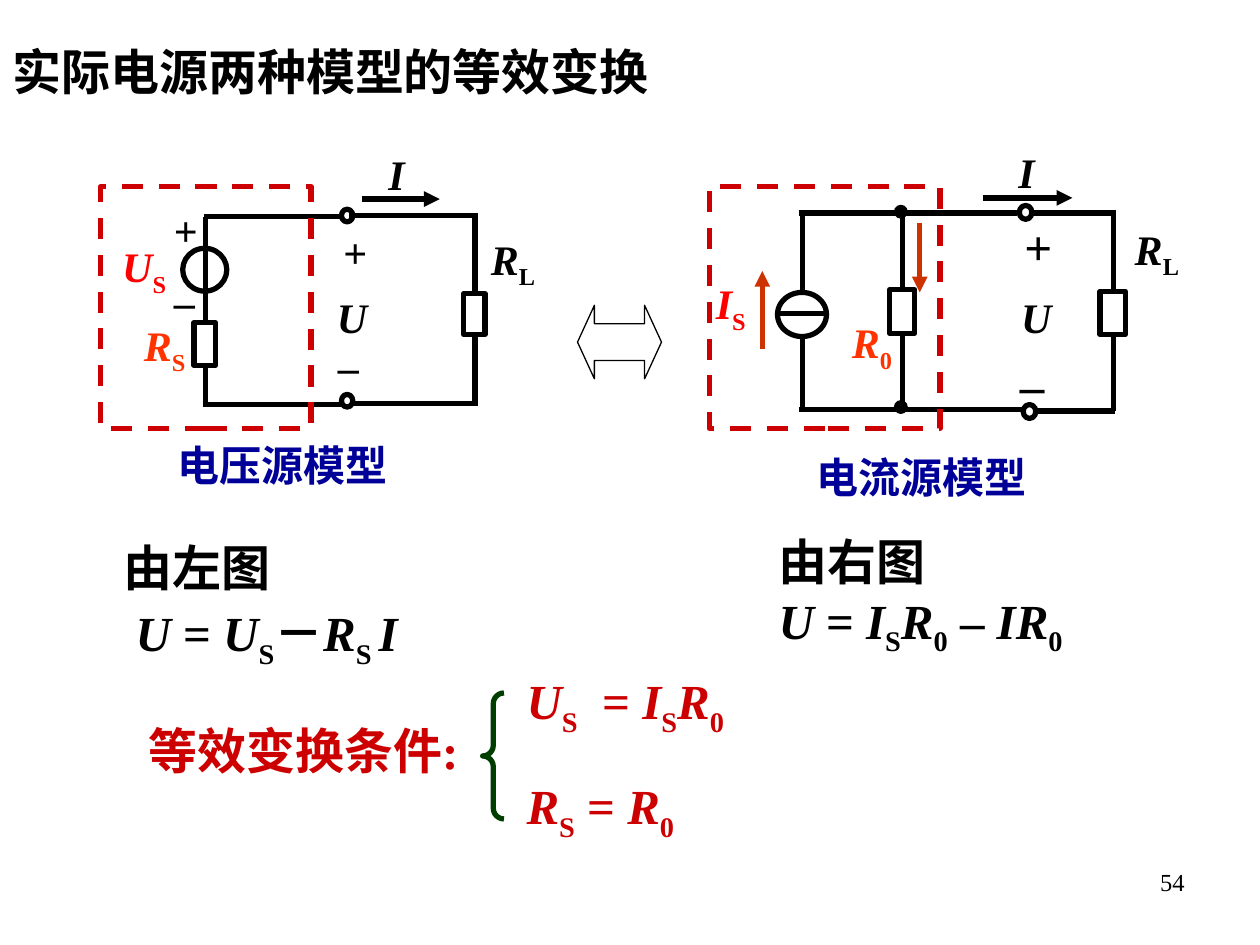
import pptx
import pptx.dml.color
import pptx.enum.dml
import pptx.enum.shapes
import pptx.enum.text
import pptx.oxml.ns
import pptx.util
from dataclasses import dataclass
from lxml import etree

Pt = pptx.util.Pt
SHAPE = pptx.enum.shapes.MSO_SHAPE
ALIGN = pptx.enum.text.PP_ALIGN
ANCHOR = pptx.enum.text.MSO_ANCHOR
qn = pptx.oxml.ns.qn


@dataclass(frozen=True)
class Theme:
    font: str = "Times New Roman"
    ink: str = "000000"
    source: str = "FF0000"
    resistor: str = "FF3300"
    current: str = "CC3300"
    accent: str = "CC0000"
    caption: str = "000099"
    brace: str = "003E00"
    heading: int = 28
    label: int = 24
    number: int = 14
    stroke: float = 3
    thin: float = 0.75


THEME = Theme()


def rgb(color):
    return pptx.dml.color.RGBColor.from_string(color)


def symbol(name, sub=""):
    """Spans of an italic quantity with an upright subscript."""
    return [(name, "italic")] + ([(sub, "sub")] if sub else [])


def plain(text):
    return [(text, "")]


def write_text(box, paras, *, size=THEME.label, color=THEME.ink, bold=True,
               align=ALIGN.CENTER, anchor=ANCHOR.TOP, wrap=True, spacing=None, gap=0):
    frame = box.text_frame
    frame.word_wrap = wrap
    frame.auto_size = pptx.enum.text.MSO_AUTO_SIZE.NONE
    frame.vertical_anchor = anchor
    for index, spans in enumerate(paras):
        para = frame.add_paragraph() if index else frame.paragraphs[0]
        para.alignment = align
        if spacing:
            para.line_spacing = spacing
        if index and gap:
            para.space_before = Pt(gap)
        for text, style in spans:
            span = para.add_run()
            span.text = text
            span.font.name = THEME.font
            span.font.size = Pt(size)
            span.font.bold = bold
            span.font.italic = style == "italic"
            span.font.color.rgb = rgb(color)
            properties = span._r.get_or_add_rPr()
            if style == "sub":
                properties.set("baseline", "-25000")
            elif style == "wide":
                properties.set("spc", "700")


class Region:
    """Draws on a page with lengths in points from the region's corner."""

    def __init__(self, page, left, top):
        self.shapes, self.left, self.top = page.shapes, left, top

    def place(self, x, y):
        return Pt(self.left + x), Pt(self.top + y)

    def text(self, x, y, width, height, *paras, **style):
        box = self.shapes.add_textbox(*self.place(x, y), Pt(width), Pt(height))
        write_text(box, paras, **style)

    def label(self, x, y, width, spans, color=THEME.ink):
        self.text(x, y, width, 36, spans, color=color, anchor=ANCHOR.MIDDLE, wrap=False)

    def outline(self, kind, x, y, width, height, color=THEME.ink,
                stroke=THEME.stroke, filled=False, dashed=False):
        shape = self.shapes.add_shape(kind, *self.place(x, y), Pt(width), Pt(height))
        shape.shadow.inherit = False
        if filled:
            shape.fill.solid()
            shape.fill.fore_color.rgb = rgb(color)
        else:
            shape.fill.background()
        shape.line.color.rgb = rgb(color)
        shape.line.width = Pt(stroke)
        if dashed:
            shape.line.dash_style = pptx.enum.dml.MSO_LINE.DASH
        return shape

    def wire(self, x1, y1, x2, y2, color=THEME.ink, arrow=False):
        line = self.shapes.add_connector(pptx.enum.shapes.MSO_CONNECTOR.STRAIGHT,
                                         *self.place(x1, y1), *self.place(x2, y2))
        line.line.color.rgb = rgb(color)
        line.line.width = Pt(THEME.stroke)
        properties = line._element.spPr
        etree.SubElement(properties, qn("a:effectLst"))
        if arrow:
            etree.SubElement(properties.find(qn("a:ln")), qn("a:tailEnd"), type="triangle")

    def resistor(self, x, top, bottom, left, y, width, height):
        """Resistor box with the leads above and below it."""
        self.outline(SHAPE.RECTANGLE, left, y, width, height)
        self.wire(x, y, x, top)
        self.wire(x, y + height, x, bottom)


def draw_voltage_circuit(page, left, top):
    area = Region(page, left, top)
    # Load and source branches
    area.resistor(213.8, 16.6, 125.3, 207.4, 61.2, 12.2, 23.4)
    area.resistor(59.8, 17.3, 126, 53.3, 77.8, 12.2, 24.5)
    area.outline(SHAPE.OVAL, 46.8, 35.3, 25.2, 24.5)
    # Rails and terminals
    for y, right_y, start, terminal in ((17.3, 16.6, 141.8, 13), (124.6, 123.8, 143.3, 118.8)):
        area.wire(59, y, 137.5, y)
        area.wire(start, right_y, 215.3, right_y)
        area.outline(SHAPE.OVAL, 137.5, terminal, 6.5, 7.2)
    area.wire(149, 7.2, 193.7, 7.2, arrow=True)
    # Labels
    area.label(157, -25.2, 24, symbol("I"))
    area.label(214.6, 25.2, 42, symbol("R", "L"))
    area.label(16.6, 74.2, 39.6, symbol("R", "S"), THEME.resistor)
    area.label(4.3, 29.5, 41, symbol("U", "S"), THEME.source)
    area.label(127.4, 56.2, 32.4, symbol("U"))
    area.text(34.6, 5, 25.2, 80, plain("+"), plain("–"), anchor=ANCHOR.MIDDLE, gap=12)
    area.text(122.4, 19.4, 46, 36, plain("+"))
    area.text(126, 84.2, 31, 36, plain("–"))
    area.label(36, 141.1, 135.4, plain("电压源模型"), THEME.caption)
    area.outline(SHAPE.RECTANGLE, 0, 0, 120.2, 138.2, THEME.accent, dashed=True)


def draw_current_circuit(page, left, top):
    area = Region(page, left, top)
    # Current source
    area.outline(SHAPE.OVAL, 38.9, 60.5, 28, 25.2)
    area.wire(38.9, 72.7, 67, 72.7)
    area.wire(53.3, 16.6, 53.3, 60.5)
    area.wire(53.3, 85.7, 53.3, 128.9)
    # Load and inner resistor
    area.resistor(231.1, 15.8, 128.2, 223.2, 59.8, 14.4, 24.8)
    area.resistor(110.2, 15.1, 127.4, 103, 59, 14.4, 24.8)
    # Rails, terminals and nodes
    area.wire(51.1, 15.1, 175.7, 15.1)
    area.wire(184.3, 15.1, 232.6, 15.1)
    area.wire(51.1, 127.4, 179.3, 127.4)
    area.wire(186.5, 128.2, 231.8, 128.2)
    for x, y, node in ((177.1, 10.8, 10.8), (179.3, 124.6, 122.4)):
        area.outline(SHAPE.OVAL, x, y, 7.2, 7.9)
        area.outline(SHAPE.OVAL, 105.8, node, 7.2, 7.2, stroke=THEME.thin, filled=True)
    # Current arrows
    area.wire(156.2, 6.5, 207.4, 6.5, arrow=True)
    area.wire(120.2, 20.9, 120.2, 60.5, THEME.current, arrow=True)
    area.wire(30.2, 92.9, 30.2, 48.2, THEME.current, arrow=True)
    # Labels
    area.label(234.7, 19.4, 42, symbol("R", "L"))
    area.label(73.4, 72.7, 39, symbol("R", "0"), THEME.resistor)
    area.label(170.6, 56.2, 32.4, symbol("U"))
    area.label(-4.3, 50.4, 33, symbol("I", "S"), THEME.source)
    area.label(169.2, -26.6, 24, symbol("I"))
    area.text(165.6, 13.7, 44.6, 41, plain("+"), size=THEME.heading)
    area.text(162, 92.2, 44.6, 41, plain("–"), size=THEME.heading)
    area.label(53.3, 147.6, 135.4, plain("电流源模型"), THEME.caption)
    area.outline(SHAPE.RECTANGLE, 0, 0, 131.8, 138.2, THEME.accent, dashed=True)


def draw_equations(page, left, top):
    area = Region(page, left, top)
    style = {"size": THEME.heading, "align": ALIGN.LEFT}
    area.text(0, 0, 194.4, 81.4, plain("由左图"),
              plain(" ") + symbol("U") + plain(" = ") + symbol("U", "S") + plain("－")
              + symbol("R", "S ") + symbol("I"), spacing=1.1, **style)
    area.text(374.4, 0, 210, 75, plain("由右图"),
              symbol("U") + plain(" = ") + symbol("I", "S") + symbol("R", "0")
              + plain(" – ") + symbol("IR", "0"), **style)


def draw_conditions(page, left, top):
    area = Region(page, left, top)
    style = {"size": THEME.heading, "align": ALIGN.LEFT, "color": THEME.accent}
    area.text(0, 36, 193, 41, plain("等效变换条件:"), wrap=False, **style)
    brace = area.outline(SHAPE.LEFT_BRACE, 198, 23.8, 12.2, 72, THEME.brace)
    brace.adjustments[0] = brace.adjustments[1] = 0.5
    equations = (symbol("U", "S") + [(" ", "wide")] + plain("= ")
                 + symbol("I", "S") + symbol("R", "0"),
                 symbol("R", "S") + plain(" = ") + symbol("R", "0"))
    for row, spans in enumerate(equations):
        area.text(216, 60 * row, 162, 47.5, spans, spacing=1.2, **style)


def build_slide(deck):
    page = deck.slides.add_slide(deck.slide_layouts[5])
    # Title
    title = page.shapes.title
    title.left, title.top, title.width, title.height = Pt(0), Pt(20), Pt(481), Pt(54)
    write_text(title, [plain("实际电源两种模型的等效变换")], size=THEME.heading, align=ALIGN.LEFT)
    # Circuits and the arrow between them
    draw_voltage_circuit(page, 57.6, 106.6)
    draw_current_circuit(page, 405.4, 106.6)
    whole = Region(page, 0, 0)
    arrow = whole.outline(SHAPE.LEFT_RIGHT_ARROW, 330, 174.5, 48, 42, stroke=THEME.thin)
    arrow.adjustments[0], arrow.adjustments[1] = 0.5, 0.23
    # Equations and conditions
    draw_equations(page, 63.4, 300.2)
    draw_conditions(page, 77.8, 372.2)
    # Page number
    whole.text(516, 492, 168, 37.4, plain("54"), size=THEME.number, bold=False, align=ALIGN.RIGHT)


def main():
    deck = pptx.Presentation()
    deck.slide_width, deck.slide_height = Pt(720), Pt(540)
    build_slide(deck)
    deck.save("out.pptx")


if __name__ == "__main__":
    main()
